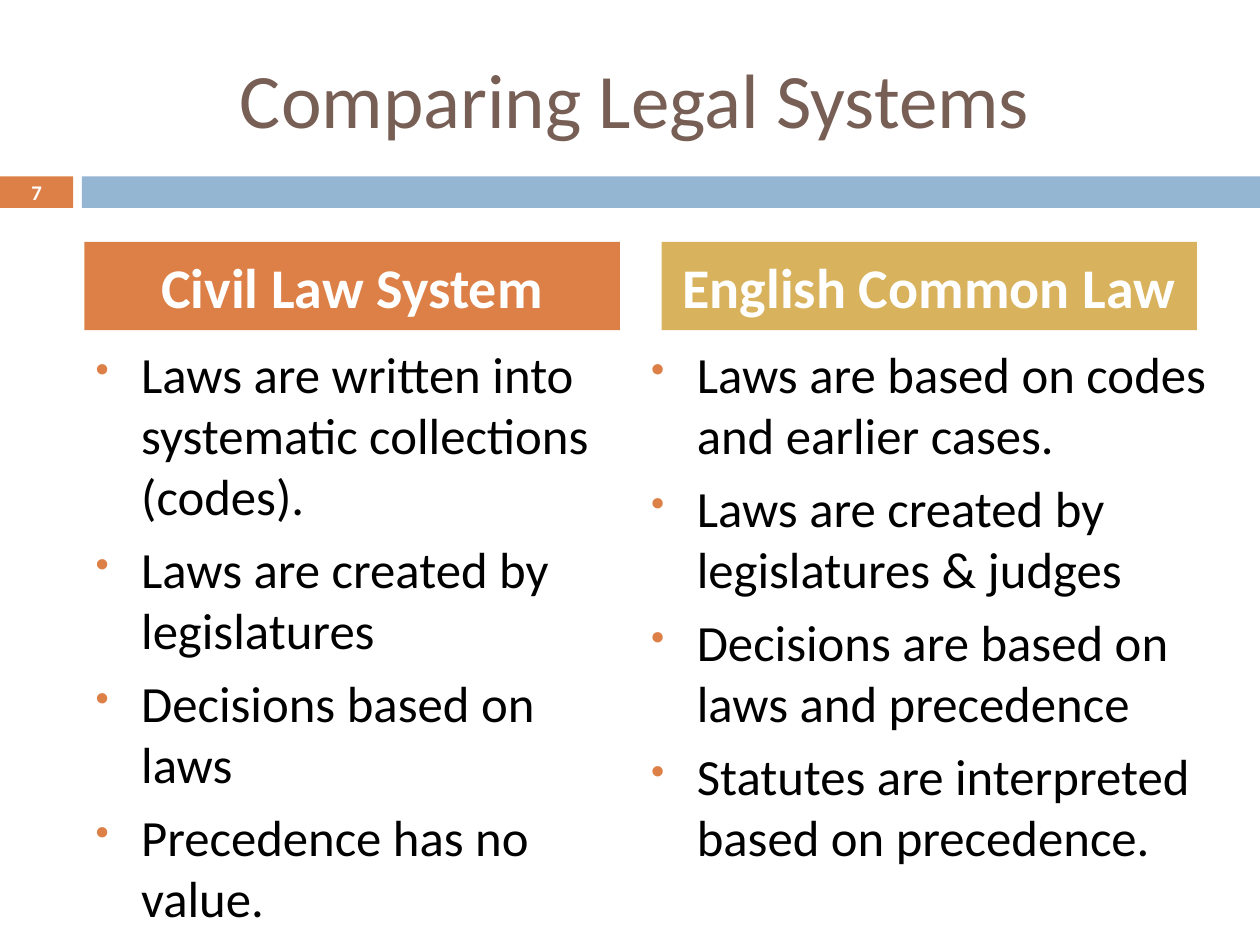
from lxml import etree
from pptx import Presentation
from pptx.dml.color import RGBColor
from pptx.enum.shapes import MSO_SHAPE
from pptx.enum.text import MSO_ANCHOR, MSO_AUTO_SIZE, PP_ALIGN
from pptx.oxml.ns import qn
from pptx.util import Inches, Pt

RECTANGLE = MSO_SHAPE.RECTANGLE
MIDDLE, TOP = MSO_ANCHOR.MIDDLE, MSO_ANCHOR.TOP
CENTER, LEFT = PP_ALIGN.CENTER, PP_ALIGN.LEFT
NO_AUTOFIT = MSO_AUTO_SIZE.NONE

# Content
FONT = "Calibri"
ORANGE, BLUE, GOLD = "DD8047", "94B6D2", "D8B25C"
BROWN, BLACK, WHITE = "775F55", "000000", "FFFFFF"
TITLE = "Comparing Legal Systems"
PAGE_NUMBER = "7"
BARS = [((0, 1.4, 0.58, 0.25), ORANGE), ((0.65, 1.4, 9.35, 0.25), BLUE)]
# Heading and list refer to placeholder numbers of the comparison layout
COLUMNS = [
    {
        "heading": (1, "Civil Law System", ORANGE, (0.67, 1.92, 4.25, 0.7)),
        "list": (2, (0.67, 2.67, 4.25, 4.47)),
        "points": [
            "Laws are written into systematic collections (codes).",
            "Laws are created by legislatures",
            "Decisions based on laws",
            "Precedence has no value.",
        ],
    },
    {
        "heading": (3, "English Common Law", GOLD, (5.25, 1.92, 4.25, 0.7)),
        "list": (4, (5.08, 2.67, 4.75, 4.83)),
        "points": [
            "Laws are based on codes and earlier cases.",
            "Laws are created by legislatures & judges",
            "Decisions are based on laws and precedence",
            "Statutes are interpreted based on precedence.",
        ],
    },
]


def color(value):
    return RGBColor.from_string(value)


def place(shape, area):
    shape.left, shape.top, shape.width, shape.height = map(Inches, area)


def fill(shape, value):
    shape.fill.solid()
    shape.fill.fore_color.rgb = color(value)


def add_bullet(para):
    props = para._p.get_or_add_pPr()
    props.set("marL", str(Inches(0.35)))
    props.set("indent", str(-Inches(0.35)))
    bullet_color = etree.SubElement(props, qn("a:buClr"))
    etree.SubElement(bullet_color, qn("a:srgbClr"), val=ORANGE)
    etree.SubElement(props, qn("a:buSzPct"), val="60000")
    etree.SubElement(props, qn("a:buFont"), typeface="Wingdings 2")
    etree.SubElement(props, qn("a:buChar"), char="◻")


def write(box, lines, size, value, bold=False, align=CENTER, anchor=MIDDLE, bullets=False):
    frame = box.text_frame
    frame.word_wrap = True
    frame.auto_size = NO_AUTOFIT
    frame.vertical_anchor = anchor
    for index, line in enumerate(lines):
        para = frame.add_paragraph() if index else frame.paragraphs[0]
        if bullets:
            add_bullet(para)
        para.alignment = align
        para.space_before = Pt(7 if index else 0)
        span = para.add_run()
        span.text = line
        span.font.name = FONT
        span.font.size = Pt(size)
        span.font.bold = bold
        span.font.color.rgb = color(value)


deck = Presentation()
deck.slide_width, deck.slide_height = Inches(10), Inches(7.5)
page = deck.slides.add_slide(deck.slide_layouts.get_by_name("Comparison"))
holders = {holder.placeholder_format.idx: holder for holder in page.placeholders}

# Band under the title
for area, value in BARS:
    bar = page.shapes.add_shape(RECTANGLE, *map(Inches, area))
    bar.shadow.inherit = False
    fill(bar, value)
    bar.line.fill.background()

# Title
place(holders[0], (0.58, 0.3, 8.92, 0.95))
write(holders[0], [TITLE], 44, BROWN)

# Two columns: coloured heading above a bulleted list
for column in COLUMNS:
    number, heading, value, area = column["heading"]
    place(holders[number], area)
    fill(holders[number], value)
    write(holders[number], [heading], 32, WHITE, bold=True)
    number, area = column["list"]
    place(holders[number], area)
    write(holders[number], column["points"], 29, BLACK, align=LEFT, anchor=TOP, bullets=True)

# Page number
number_box = page.shapes.add_textbox(*map(Inches, (0, 1.39, 0.58, 0.27)))
write(number_box, [PAGE_NUMBER], 11.9, WHITE, bold=True)

deck.save("out.pptx")
